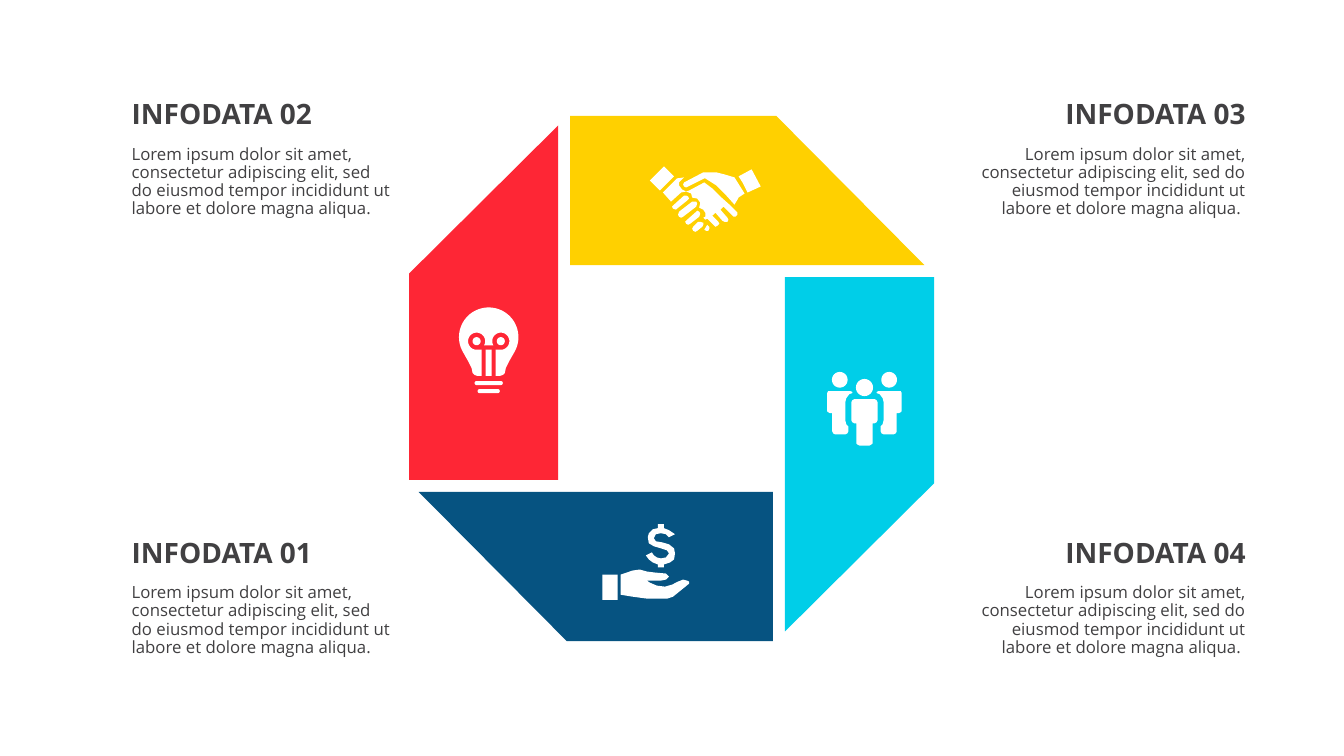
import dataclasses
import math

import pptx
import pptx.dml.color
import pptx.enum.text
import pptx.util

Cm = pptx.util.Cm
ALIGN = pptx.enum.text.PP_ALIGN
GRID = Cm(0.0254)  # drawing unit for outlines: 0.01 inch


@dataclasses.dataclass(frozen=True)
class Theme:
    yellow: str = "FFD000"
    cyan: str = "00CEE8"
    navy: str = "065381"
    red: str = "FE2635"
    icon: str = "FFFFFF"
    text: str = "414042"
    font: str = "Open Sans"
    title_size: int = 20
    body_size: int = 12


def color(value):
    return pptx.dml.color.RGBColor.from_string(value)


def arc(x, y, radius, start, end, steps=24):
    """Points along an arc; degrees run clockwise from the right."""
    angles = [math.radians(start + (end - start) * i / steps) for i in range(steps + 1)]
    return [(x + radius * math.cos(a), y + radius * math.sin(a)) for a in angles]


def circle(x, y, radius):
    return arc(x, y, radius, 0, 360)


def pill(half_width, top, bottom):
    """Bar with round ends, centred on x = 0."""
    radius = (bottom - top) / 2
    reach, middle = half_width - radius, top + radius
    return arc(reach, middle, radius, -90, 90) + arc(-reach, middle, radius, 90, 270)


def mirror(points):
    return [(-x, y) for x, y in reversed(points)]


def symmetric(half):
    return half + mirror(half)


def turn(points, quarters):
    for _ in range(quarters):
        points = [(-y, x) for x, y in points]
    return points


def bulb():
    half = arc(0, 29.5, 29.5, 270, 150) + [
        (-20, 54), (-17, 60), (-16, 65), (-14, 67), (-11, 68), (-7, 68), (-7, 42),
    ] + arc(-12, 33.5, 8.5, 90, 390)
    return [symmetric(half), circle(-12, 33.5, 4), circle(12, 33.5, 4),
            [(-3, 42), (3, 42), (3, 68), (-3, 68)], pill(14, 73, 77), pill(11, 81, 85)]


def people():
    front = [(0, 27), (-10, 27), (-12, 28), (-13, 30), (-13, 48), (-12, 50), (-10, 51),
             (-8, 51), (-8, 71), (-7, 72), (-5, 73), (0, 73)]
    side = [(-37, 21), (-36, 19), (-34, 19), (-14, 19), (-12, 20), (-12, 21), (-15, 22),
            (-18, 26), (-19, 30), (-19, 48), (-18, 52), (-16, 54), (-16, 59), (-17, 61),
            (-19, 62), (-29, 62), (-31, 61), (-32, 59), (-32, 41), (-34, 41), (-36, 40),
            (-37, 39)]
    return [symmetric(front), circle(0, 15.5, 8.5), side, mirror(side),
            circle(-24.5, 7.8, 7.8), circle(24.5, 7.8, 7.8)]


def hand_with_dollar():
    dollar = [(61, 40), (61, 43), (55, 43), (55, 40), (50, 38), (46, 35), (43, 31),
              (49, 28), (51, 31), (54, 33), (58, 34), (63, 33), (66, 29), (64, 26),
              (58, 24), (51, 22), (46, 19), (45, 13), (46, 9), (50, 5), (55, 4), (55, 0),
              (61, 0), (61, 4), (66, 6), (72, 10), (66, 13), (63, 10), (58, 9), (53, 10),
              (51, 14), (53, 17), (59, 18), (66, 20), (71, 24), (72, 29), (71, 35), (67, 38)]
    palm = [(84, 56), (80, 55), (75, 57), (69, 60), (62, 62), (54, 61), (47, 58), (44, 56),
            (48, 56), (58, 56), (63, 55), (66, 52), (63, 49), (52, 48), (44, 47), (37, 45),
            (30, 46), (18, 50), (18, 70), (30, 72), (45, 74), (64, 74), (70, 72), (86, 59),
            (86, 57)]
    cuff = [(0, 50), (15, 50), (15, 75), (0, 75)]
    return [dollar, palm, cuff]


def handshake():
    fingers = [
        [(26, 43), (23, 42), (22, 40), (24, 38), (34, 29), (36, 29), (38, 30), (39, 32),
         (37, 34), (27, 42)],
        [(33, 50), (46, 40), (47, 37), (46, 35), (44, 35), (42, 35), (29, 45), (28, 48),
         (29, 50), (31, 51)],
        [(40, 57), (49, 50), (50, 47), (49, 45), (47, 44), (46, 45), (37, 53), (35, 55),
         (36, 57), (38, 58)],
        [(47, 64), (52, 60), (53, 58), (53, 56), (50, 55), (48, 55), (43, 60), (42, 62),
         (43, 64), (45, 65)],
        [(58, 64), (59, 62), (59, 60), (57, 58), (54, 63), (56, 64)],
    ]
    right_hand = [(87, 33), (88, 31), (94, 27), (84, 11), (74, 8), (66, 6), (59, 6), (53, 6),
                  (34, 16), (33, 18), (34, 20), (36, 21), (54, 12), (55, 12), (66, 19),
                  (75, 28), (84, 38)]
    left_hand = [(67, 59), (69, 57), (68, 55), (62, 49), (65, 46), (72, 54), (74, 55),
                 (77, 55), (78, 53), (77, 51), (70, 43), (73, 40), (81, 48), (83, 50),
                 (85, 50), (87, 48), (87, 46), (79, 38), (70, 30), (62, 22), (54, 16),
                 (39, 24), (36, 25), (32, 23), (29, 19), (29, 16), (33, 12), (34, 11),
                 (27, 12), (13, 26), (21, 35), (31, 26), (36, 25), (41, 27), (42, 31),
                 (47, 32), (50, 36), (49, 41), (53, 43), (55, 46), (55, 50), (53, 51),
                 (55, 53), (57, 52), (63, 58), (65, 60)]
    cuffs = [[(10, 24), (24, 10), (14, 0), (0, 14)],
             [(97, 26), (110, 20), (101, 3), (88, 10), (92, 16)]]
    return fingers + [right_hand, left_hand] + cuffs


class SlideBuilder:
    def __init__(self, deck, theme):
        self.theme = theme
        self.slide = deck.slides.add_slide(deck.slide_layouts[6])

    def outline(self, origin, contours, fill):
        """Draw closed contours, given in GRID units from origin, as one shape."""
        builder = None
        for contour in contours:
            points = [((origin[0] + x) * GRID, (origin[1] + y) * GRID) for x, y in contour]
            if builder is None:
                builder = self.slide.shapes.build_freeform(*points[0], scale=1.0)
            else:
                builder.move_to(*points[0])
            builder.add_line_segments(points[1:], close=True)
        shape = builder.convert_to_shape()
        shape.shadow.inherit = False
        shape.fill.solid()
        shape.fill.fore_color.rgb = color(fill)
        shape.line.fill.background()

    def text(self, left, top, width, height, words, align, size, bold=False):
        box = self.slide.shapes.add_textbox(Cm(left), Cm(top), Cm(width), Cm(height))
        box.text_frame.word_wrap = True
        para = box.text_frame.paragraphs[0]
        para.alignment = align
        para.line_spacing = 0.9
        span = para.add_run()
        span.text = words
        formats = {"name": self.theme.font, "size": pptx.util.Pt(size), "bold": bold}
        for name, value in formats.items():
            setattr(span.font, name, value)
        span.font.color.rgb = color(self.theme.text)

    def caption(self, left, top, width, align, title, body):
        self.text(left, top, width, 1.5, title, align, self.theme.title_size, bold=True)
        self.text(left, top + 1.14, width, 2.3, body, align, self.theme.body_size)


def main():
    deck = pptx.Presentation()
    deck.slide_width, deck.slide_height = Cm(33.88), Cm(19.05)
    theme = Theme()
    page = SlideBuilder(deck, theme)

    ring_center = (666.5, 375.5)
    panel = [(-100.5, -112.5), (-100.5, -260.5), (104, -260.5), (251, -112.5)]
    for quarters, fill in enumerate([theme.yellow, theme.cyan, theme.navy, theme.red]):
        page.outline(ring_center, [turn(panel, quarters)], fill)

    icons = [((645, 165), handshake()), ((858, 369), people()),
             ((598, 520), hand_with_dollar()), ((485, 305), bulb())]
    for origin, contours in icons:
        page.outline(origin, contours, theme.icon)

    body = ("Lorem ipsum dolor sit amet, consectetur adipiscing elit, sed do eiusmod "
            "tempor incididunt ut labore et dolore magna aliqua.")
    left_side = (3.07, 7.04, ALIGN.LEFT, body)
    right_side = (24.41, 7.24, ALIGN.RIGHT, body + " ")
    upper, lower = 2.41, 13.46
    captions = [("01", left_side, lower), ("02", left_side, upper),
                ("03", right_side, upper), ("04", right_side, lower)]
    for number, (left, width, align, words), top in captions:
        page.caption(left, top, width, align, f"INFODATA {number}", words)

    deck.save("out.pptx")


if __name__ == "__main__":
    main()
